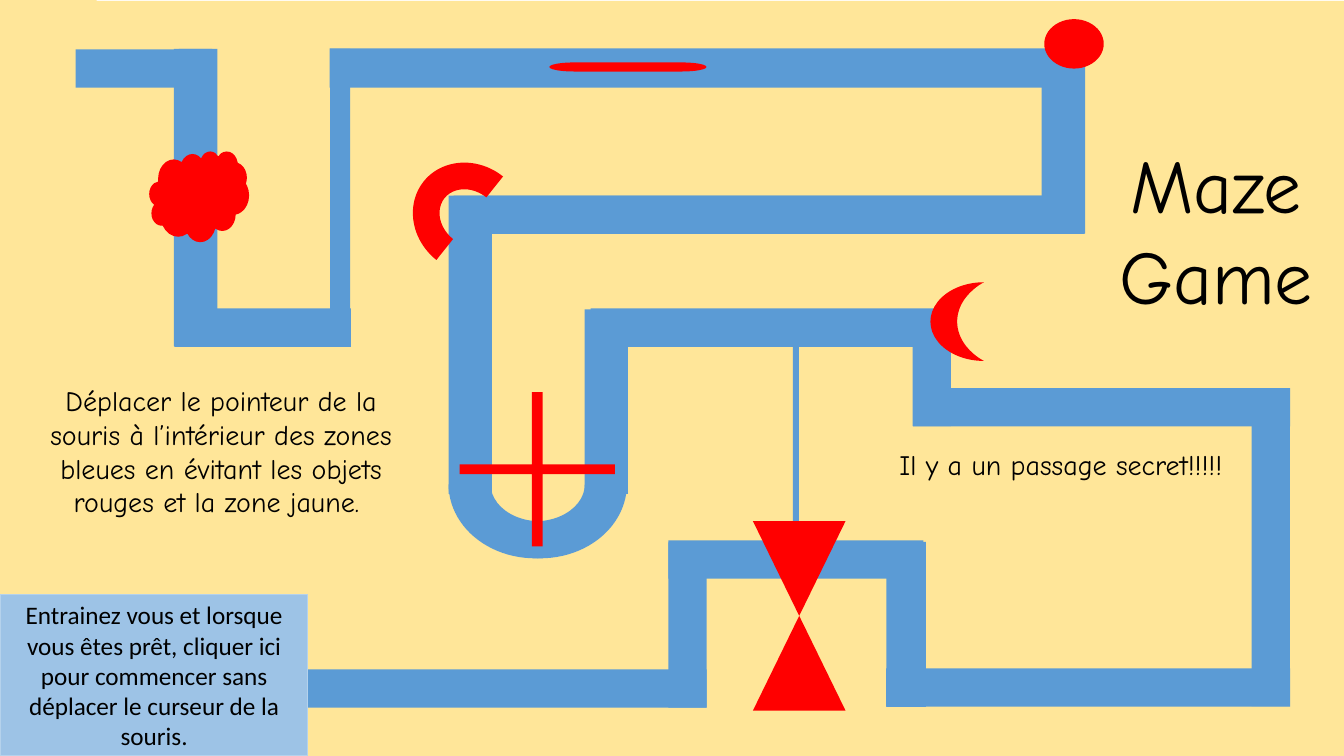
"""Build the maze game slide."""
from dataclasses import dataclass
from typing import NamedTuple

from pptx import Presentation
from pptx.dml.color import RGBColor
from pptx.enum.shapes import MSO_SHAPE
from pptx.enum.text import MSO_ANCHOR, PP_ALIGN
from pptx.util import Pt

RECT = MSO_SHAPE.RECTANGLE
ARC = MSO_SHAPE.BLOCK_ARC
MOON = MSO_SHAPE.MOON
OVAL = MSO_SHAPE.OVAL
CROSS = MSO_SHAPE.CROSS
HOURGLASS = MSO_SHAPE.FLOWCHART_COLLATE
CLOUD = MSO_SHAPE.CLOUD
BAR = MSO_SHAPE.FLOWCHART_TERMINATOR
CENTER = PP_ALIGN.CENTER
TOP = MSO_ANCHOR.TOP
MIDDLE = MSO_ANCHOR.MIDDLE


@dataclass(frozen=True)
class Theme:
    ground: RGBColor = RGBColor(0xFF, 0xE6, 0x99)
    path_blue: RGBColor = RGBColor(0x5B, 0x9B, 0xD5)
    danger: RGBColor = RGBColor(0xFF, 0x00, 0x00)
    start: RGBColor = RGBColor(0x9D, 0xC3, 0xE6)
    start_edge: RGBColor = RGBColor(0xB5, 0xD2, 0xEC)
    ink: RGBColor = RGBColor(0x00, 0x00, 0x00)
    game_font: str = "Comic Neue"
    start_font: str = "Calibri"
    title_size: float = 54
    hint_size: float = 20
    start_size: float = 18


class Box(NamedTuple):
    left: float
    top: float
    width: float
    height: float


class Piece(NamedTuple):
    box: Box
    outline: MSO_SHAPE = RECT
    rotation: float = 0
    adjustment: float | None = None
    widened: bool = False


class Caption(NamedTuple):
    box: Box
    wording: str
    size: float


THEME = Theme()
SLIDE_WIDTH, SLIDE_HEIGHT = 960, 540
LANE = 27.4
WIDENING = 3.6

GROUND = [
    Piece(Box(0, 0, 69, SLIDE_HEIGHT)),
    Piece(Box(26, 0.7, SLIDE_WIDTH - 26, SLIDE_HEIGHT - 0.7)),
]

MAZE = [
    Piece(Box(54, 478.1, 450.7, LANE)),
    Piece(Box(477.4, 387.4, LANE, 118)),
    Piece(Box(477.4, 386, 182.2, LANE)),
    Piece(Box(633.2, 387, 28.1, 118)),
    Piece(Box(632.9, 477.4, 288.7, LANE)),
    Piece(Box(894, 279, LANE, 225.4)),
    Piece(Box(652.3, 277.2, 269.3, LANE)),
    Piece(Box(566.3, 245.2, 4.3, 147.6)),
    Piece(Box(651.8, 221, LANE, 83.5)),
    Piece(Box(421.9, 220.3, 257, LANE)),
    Piece(Box(417.6, 221, 31, 131.8)),
    Piece(Box(320.4, 293, 123.8, 105.8), ARC, 180, widened=True),
    Piece(Box(320.4, 167, LANE, 185.8), widened=True),
    Piece(Box(320.4, 139.7, 450.7, LANE), widened=True),
    Piece(Box(744.1, 36.4, LANE, 130.3), widened=True),
    Piece(Box(235.4, 34.6, 535.7, 28.1)),
    Piece(Box(235.8, 34.9, 14.4, 212.4)),
    Piece(Box(124.6, 220.3, 126, LANE)),
    Piece(Box(124.2, 34.9, LANE, 212.4), widened=True),
    Piece(Box(54, 35.3, 97.2, LANE)),
]

OBSTACLES = [
    Piece(Box(664.6, 201.6, 38.2, 56.2), MOON),
    Piece(Box(745.9, 13.7, 42.5, 35.3), OVAL),
    Piece(Box(297.4, 113.8, 76.3, 84.2), ARC, 308.6),
    Piece(Box(328.3, 280.1, 110.9, 110.2), CROSS, adjustment=0.468),
    Piece(Box(537.8, 372.2, 66.2, 135.4), HOURGLASS),
    Piece(Box(106.6, 108, 71.3, 64.8), CLOUD),
    Piece(Box(392.4, 44.6, 112.3, 6.5), BAR),
]

CAPTIONS = [
    Caption(Box(778.3, 95, 180.7, 138.2), "Maze Game", THEME.title_size),
    Caption(
        Box(19.4, 270.7, 277.2, 128.2),
        "Déplacer le pointeur de la souris à l’intérieur des zones bleues "
        "en évitant les objets rouges et la zone jaune. ",
        THEME.hint_size,
    ),
    Caption(Box(619.2, 316.3, 277.2, 31.5), "Il y a un passage secret!!!!!", THEME.hint_size),
]

START = Caption(
    Box(0.7, 424.8, 218.9, 115.2),
    "Entrainez vous et lorsque vous êtes prêt, cliquer ici pour commencer "
    "sans déplacer le curseur de la souris.",
    THEME.start_size,
)


def draw_piece(slide, piece: Piece, color: RGBColor, shift: float = 0):
    """Draw one filled piece without an edge."""
    box = piece.box
    drawn = slide.shapes.add_shape(
        piece.outline, Pt(box.left + shift), Pt(box.top), Pt(box.width), Pt(box.height)
    )
    drawn.shadow.inherit = False
    drawn.fill.solid()
    drawn.fill.fore_color.rgb = color
    drawn.line.fill.background()
    drawn.rotation = piece.rotation
    if piece.adjustment is not None:
        drawn.adjustments[0] = piece.adjustment
    return drawn


def write(frame, caption: Caption, font_name: str, anchor: MSO_ANCHOR) -> None:
    """Write a centred, wrapped caption into a text frame."""
    frame.word_wrap = True
    frame.vertical_anchor = anchor
    paragraph = frame.paragraphs[0]
    paragraph.alignment = CENTER
    run = paragraph.add_run()
    run.text = caption.wording
    run.font.name = font_name
    run.font.size = Pt(caption.size)
    run.font.color.rgb = THEME.ink


def draw_caption(slide, caption: Caption) -> None:
    """Place a free-standing caption."""
    label = slide.shapes.add_textbox(*(Pt(length) for length in caption.box))
    write(label.text_frame, caption, THEME.game_font, TOP)


def draw_start(slide) -> None:
    """Draw the start button over the entrance of the maze."""
    button = draw_piece(slide, Piece(START.box), THEME.start)
    button.line.color.rgb = THEME.start_edge
    button.line.width = Pt(0.75)
    write(button.text_frame, START, THEME.start_font, MIDDLE)


def main() -> None:
    """Build and save the slide."""
    deck = Presentation()
    deck.slide_width, deck.slide_height = Pt(SLIDE_WIDTH), Pt(SLIDE_HEIGHT)
    slide = deck.slides.add_slide(deck.slide_layouts[6])
    for piece in GROUND:
        draw_piece(slide, piece, THEME.ground)
    for piece in MAZE:
        for shift in (0, WIDENING) if piece.widened else (0,):
            draw_piece(slide, piece, THEME.path_blue, shift)
    for piece in OBSTACLES:
        draw_piece(slide, piece, THEME.danger)
    for caption in CAPTIONS:
        draw_caption(slide, caption)
    draw_start(slide)
    deck.save("out.pptx")


main()
